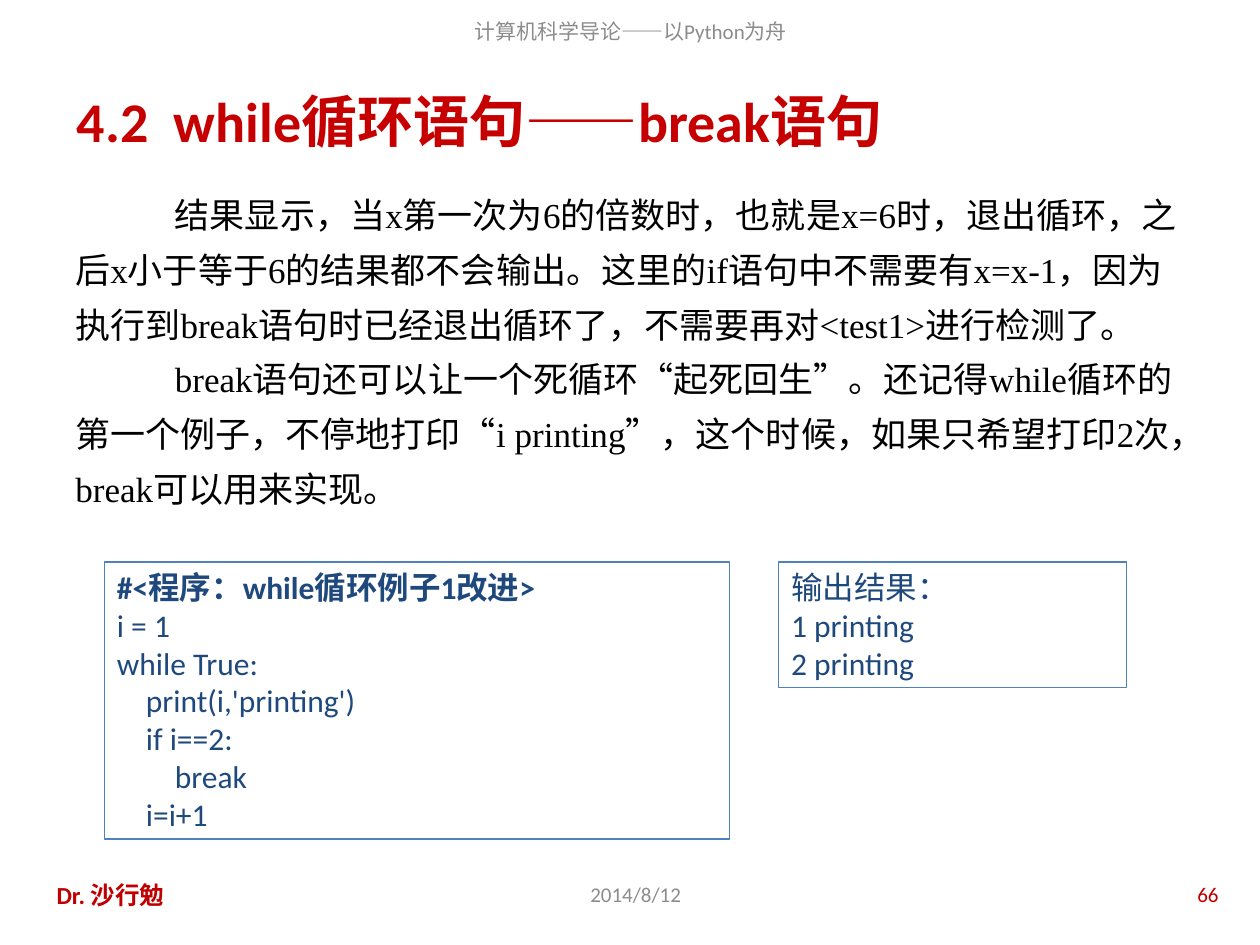
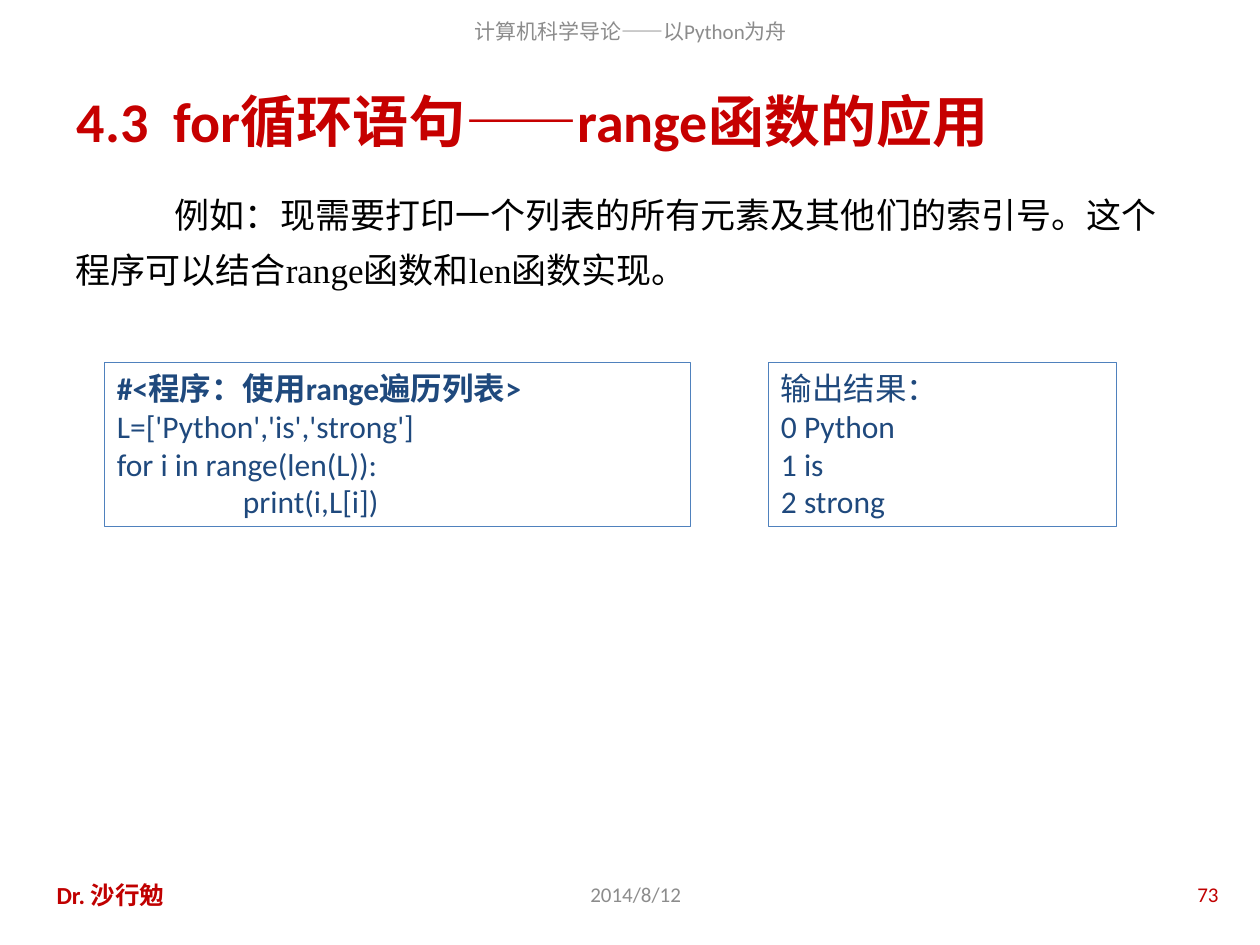
from pptx import Presentation
from pptx.dml.color import RGBColor
from pptx.enum.lang import MSO_LANGUAGE_ID
from pptx.enum.shapes import MSO_SHAPE
from pptx.enum.text import MSO_ANCHOR, MSO_AUTO_SIZE, PP_ALIGN
from pptx.util import Inches, Pt

# Content: code lines are (indent in inches, text)
HEADER = "计算机科学导论——以Python为舟"
DATE = "2014/8/12"
AUTHOR = "Dr. 沙行勉"
STEP = 0.23
TAB = 1

SLIDES = [
    {
        "title": "4.2  while循环语句——break语句",
        "number": "66",
        "body": [
            "结果显示，当x第一次为6的倍数时，也就是x=6时，退出循环，之后x小于等于6的结果都不会输出。"
            "这里的if语句中不需要有x=x-1，因为执行到break语句时已经退出循环了，不需要再对<test1>进行检测了。",
            "break语句还可以让一个死循环“起死回生”。还记得while循环的第一个例子，"
            "不停地打印“i printing”，这个时候，如果只希望打印2次，break可以用来实现。",
        ],
        "body_height": 2.83,
        "boxes_top": 4.46,
        "code_width": 4.96,
        "code_title": "#<程序：while循环例子1改进>",
        "code": [(0, "i = 1"), (0, "while True:"), (STEP, "print(i,'printing')"),
                 (STEP, "if i==2:"), (2 * STEP, "break"), (STEP, "i=i+1")],
        "output_left": 6.18,
        "output": ["1 printing", "2 printing"],
    },
    {
        "title": "4.3  for循环语句——range函数的应用",
        "number": "73",
        "body": ["例如：现需要打印一个列表的所有元素及其他们的索引号。"
                 "这个程序可以结合range函数和len函数实现。"],
        "body_height": 1.1,
        "boxes_top": 2.88,
        "code_width": 4.65,
        "code_title": "#<程序：使用range遍历列表>",
        "code": [(0, "L=['Python','is','strong']"), (0, "for i in range(len(L)):"),
                 (TAB, "print(i,L[i])")],
        "output_left": 6.1,
        "output": ["0 Python", "1 is", "2 strong"],
    },
]

# Shared style
SANS, SERIF = "Calibri", "Times New Roman"
TITLE_RED, RED, GREY, BLACK = "C60000", "C00000", "8C8C8C", "000000"
CODE_BLUE, BORDER = "1F497D", "4F81BD"
OUTPUT_TITLE = "输出结果："
CODE_LEFT, OUTPUT_WIDTH = 0.83, 2.76
LINE_HEIGHT, BOX_PADDING = 0.3, 0.1
FOOTER_TOP, FOOTER_HEIGHT = 6.9, 0.4


def rgb(value):
    return RGBColor.from_string(value)


def add_run(p, text, size, color, bold=False, font=SANS):
    r = p.add_run()
    r.text = text
    r.font.name = font
    r.font.size = Pt(size)
    r.font.bold = bold
    r.font.color.rgb = rgb(color)
    r.font.language_id = MSO_LANGUAGE_ID.SIMPLIFIED_CHINESE


def set_indent(p, left=0, first=0):
    pPr = p._p.get_or_add_pPr()
    pPr.set("marL", str(Inches(left)))
    pPr.set("indent", str(Inches(first)))


def paragraphs(tf, items):
    """Yield one paragraph for each item, starting with the existing one."""
    for i, item in enumerate(items):
        yield (tf.paragraphs[0] if i == 0 else tf.add_paragraph()), item


def add_text(s, box, anchor=MSO_ANCHOR.TOP):
    tf = s.shapes.add_textbox(*map(Inches, box)).text_frame
    tf.word_wrap = True
    tf.vertical_anchor = anchor
    return tf


def add_label(s, box, text, size, color, align, bold=False):
    p = add_text(s, box, MSO_ANCHOR.MIDDLE).paragraphs[0]
    p.alignment = align
    add_run(p, text, size, color, bold)


def add_frame(s, title, bold, lines):
    """Furnish header and footer labels shared by every slide."""


def add_box(s, left, top, width, lines):
    """Outlined box whose height follows its lines of (indent, text, bold)."""
    height = len(lines) * LINE_HEIGHT + BOX_PADDING
    sp = s.shapes.add_shape(MSO_SHAPE.RECTANGLE, *map(Inches, (left, top, width, height)))
    sp.shadow.inherit = False
    sp.fill.background()
    sp.line.color.rgb = rgb(BORDER)
    sp.line.width = Pt(0.75)
    tf = sp.text_frame
    tf.word_wrap = True
    tf.vertical_anchor = MSO_ANCHOR.TOP
    tf.auto_size = MSO_AUTO_SIZE.SHAPE_TO_FIT_TEXT
    for p, (indent, text, bold) in paragraphs(tf, lines):
        p.alignment = PP_ALIGN.LEFT
        set_indent(p, indent)
        add_run(p, text, 18, CODE_BLUE, bold)


def add_title(s, text):
    sp = s.shapes.title
    sp.left, sp.top, sp.width, sp.height = map(Inches, (0.51, 0.6, 9, 0.7))
    tf = sp.text_frame
    tf.auto_size = MSO_AUTO_SIZE.NONE
    tf.vertical_anchor = MSO_ANCHOR.MIDDLE
    p = tf.paragraphs[0]
    p.alignment = PP_ALIGN.LEFT
    add_run(p, text, 32, TITLE_RED, True)


def add_header_footer(s, number):
    def footer(left, width):
        return left, FOOTER_TOP, width, FOOTER_HEIGHT

    add_label(s, (1.54, 0.05, 6.93, 0.39), HEADER, 12, GREY, PP_ALIGN.CENTER)
    add_label(s, footer(3.35, 3.39), DATE, 12, GREY, PP_ALIGN.CENTER)
    add_label(s, footer(0.35, 2.21), AUTHOR, 14, RED, PP_ALIGN.LEFT, True)
    add_label(s, footer(7.44, 2.33), number, 12, RED, PP_ALIGN.RIGHT)


def add_body(s, texts, height):
    tf = add_text(s, (0.5, 1.39, 9, height))
    for p, text in paragraphs(tf, texts):
        set_indent(p, first=0.79)
        p.line_spacing = 1.3
        add_run(p, text, 20, BLACK, font=SERIF)


def main():
    prs = Presentation()
    prs.slide_width, prs.slide_height = Inches(10), Inches(7.5)
    for data in SLIDES:
        s = prs.slides.add_slide(prs.slide_layouts[5])
        add_title(s, data["title"])
        add_header_footer(s, data["number"])
        add_body(s, data["body"], data["body_height"])

        # Program on the left, its output on the right
        code = [(0, data["code_title"], True)] + [(*line, False) for line in data["code"]]
        output = [(0, text, False) for text in [OUTPUT_TITLE, *data["output"]]]
        add_box(s, CODE_LEFT, data["boxes_top"], data["code_width"], code)
        add_box(s, data["output_left"], data["boxes_top"], OUTPUT_WIDTH, output)
    prs.save("out.pptx")


if __name__ == "__main__":
    main()
